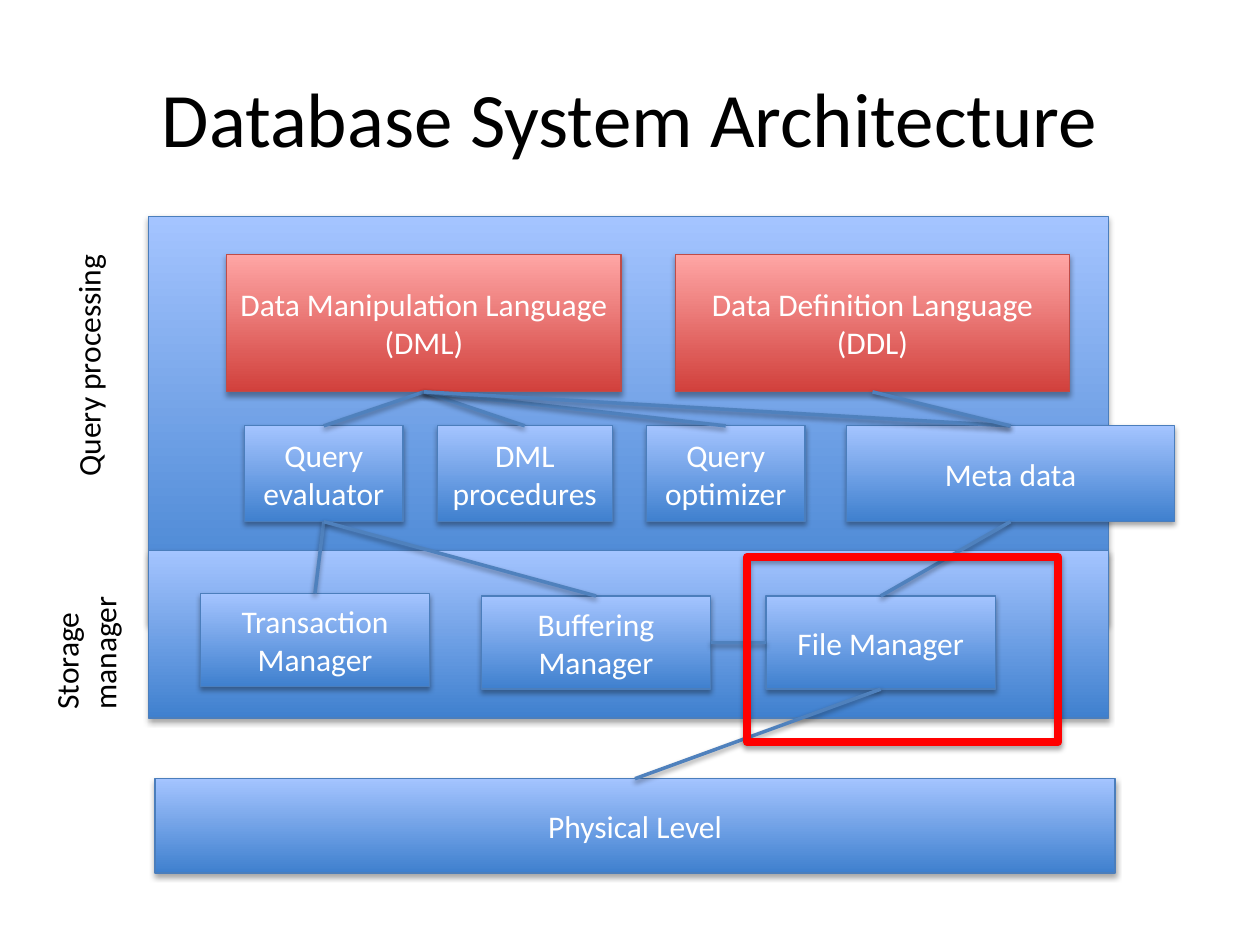
from lxml import etree
from pptx import Presentation
from pptx.dml.color import RGBColor
from pptx.enum import shapes, text
from pptx.oxml.ns import qn
from pptx.util import Inches, Pt

FONT = "Calibri"
COLORS = {
    "blue_dark": "3F80CE", "blue_light": "A4C4FF", "blue_line": "4B7EBC",
    "red_dark": "D1403C", "red_light": "FFA6A5", "red_line": "BF4C48",
    "link": "4F81BD", "highlight": "FF0000",
    "white": "FFFFFF", "black": "000000",
}
TOP, LEFT, BOTTOM, RIGHT = range(4)


def rgb(name):
    return RGBColor.from_string(COLORS[name])


def add_shadow(sp, distance, opacity):
    """Give a shape or connector a soft shadow straight below it."""
    effects = sp._element.spPr.get_or_add_effectLst() if hasattr(
        sp._element.spPr, "get_or_add_effectLst") else etree.SubElement(
        sp._element.spPr, qn("a:effectLst"))
    shadow = etree.SubElement(effects, qn("a:outerShdw"), blurRad=str(Pt(3.1)),
                              dist=str(Pt(distance)), dir="5400000", rotWithShape="0")
    color = etree.SubElement(shadow, qn("a:srgbClr"), val=COLORS["black"])
    etree.SubElement(color, qn("a:alpha"), val=str(opacity * 1000))


def set_text(sp, content, size, color, align):
    tf = sp.text_frame
    tf.text = content
    for p in tf.paragraphs:
        p.alignment = align
        p.font.size, p.font.name = Pt(size), FONT
        p.font.color.rgb = rgb(color)
    return tf


def add_box(s, x, y, w, h, label="", hue="blue"):
    """Rectangle with a vertical gradient, light at the top."""
    sp = s.shapes.add_shape(shapes.MSO_SHAPE.RECTANGLE,
                            Inches(x), Inches(y), Inches(w), Inches(h))
    sp.fill.gradient()
    sp.fill.gradient_angle = 90
    for stop, shade in zip(sp.fill.gradient_stops, ("dark", "light")):
        stop.color.rgb = rgb(f"{hue}_{shade}")
    sp.line.color.rgb = rgb(f"{hue}_line")
    sp.line.width = Pt(0.75)
    add_shadow(sp, 1.8, 35)
    if label:
        tf = set_text(sp, label, 18, "white", text.PP_ALIGN.CENTER)
        tf.vertical_anchor = text.MSO_ANCHOR.MIDDLE
    return sp


def add_side_label(s, label, cx, cy, w, h, wrap):
    """Text turned to read upwards, centred on (cx, cy)."""
    sp = s.shapes.add_textbox(Inches(cx - w / 2), Inches(cy - h / 2), Inches(w), Inches(h))
    sp.rotation = 270
    set_text(sp, label, 18, "black", text.PP_ALIGN.LEFT).word_wrap = wrap


def add_link(s, start, start_side, end, end_side):
    c = s.shapes.add_connector(shapes.MSO_CONNECTOR.STRAIGHT, 0, 0, 0, 0)
    c.begin_connect(start, start_side)
    c.end_connect(end, end_side)
    c.line.color.rgb = rgb("link")
    c.line.width = Pt(2)
    add_shadow(c, 1.6, 38)


def add_title(s, x, y, w, h):
    sp = s.shapes.add_textbox(Inches(x), Inches(y), Inches(w), Inches(h))
    tf = set_text(sp, "Database System Architecture", 44, "black", text.PP_ALIGN.CENTER)
    tf.word_wrap = True
    tf.vertical_anchor = text.MSO_ANCHOR.MIDDLE


def add_query_processing(s, x, y, w, h):
    add_box(s, x, y, w, h)
    add_side_label(s, "Query processing", x - 0.48, y + 1.17, 1.98, 0.4, False)
    parts = {}
    # Languages
    for key, label, dx in (("dml", "Data Manipulation Language\n(DML)", 0.62),
                           ("ddl", "Data Definition Language\n(DDL)", 4.18)):
        parts[key] = add_box(s, x + dx, y + 0.3, 3.13, 1.09, label, "red")
    # Query components
    for key, label, dx, width in (("evaluator", "Query evaluator", 0.76, 1.26),
                                  ("procedures", "DML procedures", 2.29, 1.39),
                                  ("optimizer", "Query optimizer", 3.95, 1.26),
                                  ("meta", "Meta data", 5.54, 2.6)):
        parts[key] = add_box(s, x + dx, y + 1.66, width, 0.76, label)
    return parts


def add_storage_manager(s, x, y, w, h):
    add_box(s, x, y, w, h)
    add_side_label(s, "Storage manager", x - 0.5, y + 0.65, 1.42, 0.71, True)
    return {key: add_box(s, x + dx, y + dy, 1.82, 0.74, label)
            for key, label, dx, dy in (("transaction", "Transaction Manager", 0.41, 0.34),
                                       ("buffering", "Buffering Manager", 2.64, 0.36),
                                       ("file", "File Manager", 4.9, 0.36))}


def add_highlight(s, x, y, w, h):
    sp = s.shapes.add_shape(shapes.MSO_SHAPE.RECTANGLE,
                            Inches(x), Inches(y), Inches(w), Inches(h))
    sp.fill.background()
    sp.line.color.rgb = rgb("highlight")
    sp.line.width = Pt(4.5)
    add_shadow(sp, 1.8, 35)


def main():
    prs = Presentation()
    prs.slide_width, prs.slide_height = Inches(10), Inches(7.5)
    s = prs.slides.add_slide(prs.slide_layouts[6])

    add_title(s, 0.5, 0.3, 9, 1.25)
    parts = add_query_processing(s, 1.18, 1.72, 7.62, 3.23)
    parts |= add_storage_manager(s, 1.18, 4.37, 7.62, 1.33)
    parts["physical"] = add_box(s, 1.23, 6.18, 7.62, 0.75, "Physical Level")

    # Links from each part down to the ones it uses
    uses = {
        "dml": ("evaluator", "procedures", "optimizer", "meta"),
        "ddl": ("meta",),
        "evaluator": ("transaction", "buffering"),
        "file": ("physical",),
        "meta": ("file",),
    }
    for upper, lowers in uses.items():
        for lower in lowers:
            add_link(s, parts[upper], BOTTOM, parts[lower], TOP)
    add_link(s, parts["buffering"], RIGHT, parts["file"], LEFT)

    add_highlight(s, 5.93, 4.42, 2.47, 1.47)
    prs.save("out.pptx")


if __name__ == "__main__":
    main()
